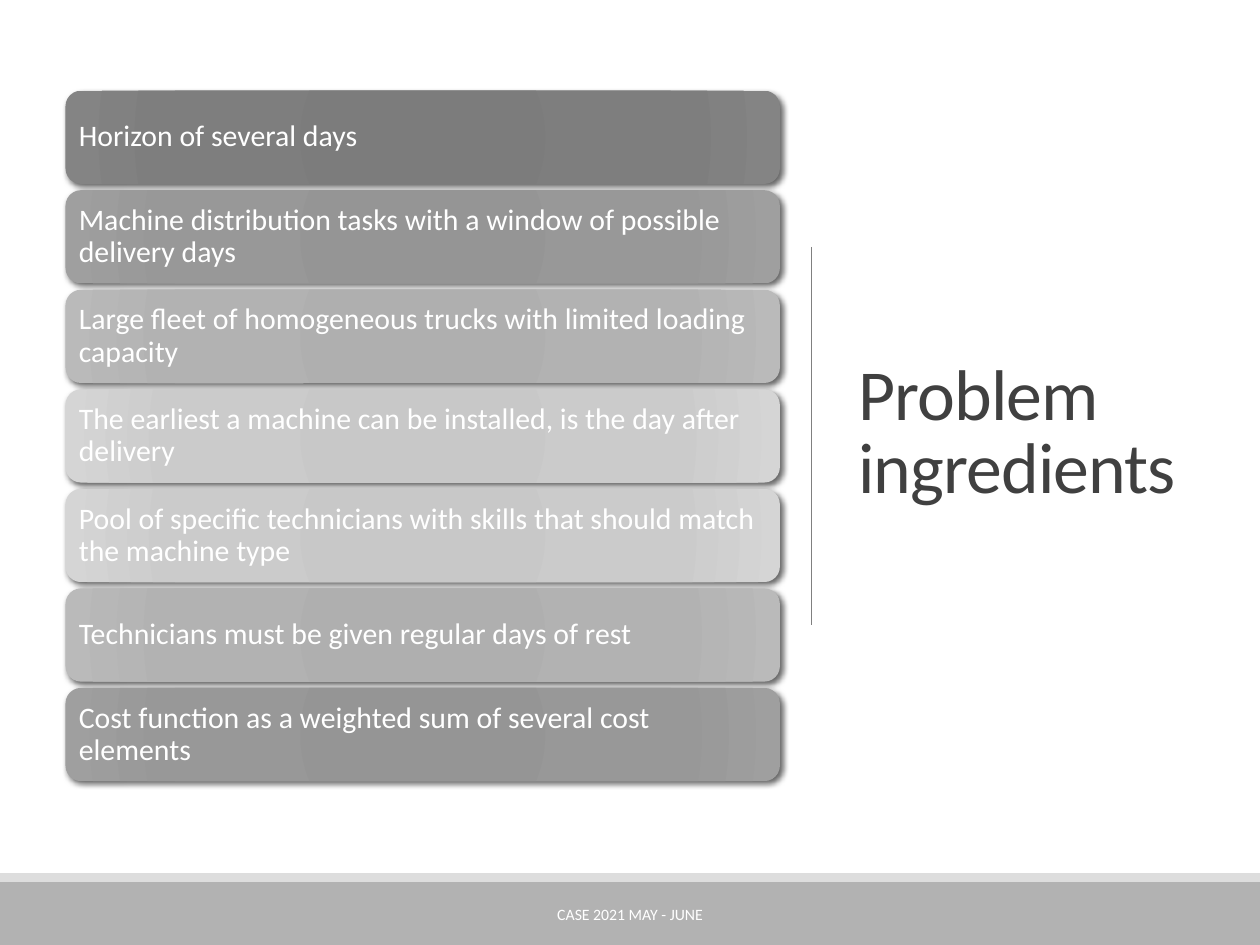
import pptx
import pptx.util
import pptx.dml.color
import pptx.enum.shapes
import pptx.enum.text
import pptx.oxml
import pptx.oxml.ns

Inches, Pt = pptx.util.Inches, pptx.util.Pt
RGB = pptx.dml.color.RGBColor.from_string
SHAPE = pptx.enum.shapes.MSO_SHAPE
ALIGN = pptx.enum.text.PP_ALIGN
MIDDLE = pptx.enum.text.MSO_ANCHOR.MIDDLE

TITLE = "Problem ingredients"
FOOTER = "CASE 2021 MAY - JUNE"
CARDS = [  # text, shade
    ("Horizon of several days", "dark"),
    ("Machine distribution tasks with a window of possible delivery days", "mid"),
    ("Large fleet of homogeneous trucks with limited loading capacity", "soft"),
    ("The earliest a machine can be installed, is the day after delivery", "pale"),
    ("Pool of specific technicians with skills that should match the machine type", "pale"),
    ("Technicians must be given regular days of rest", "soft"),
    ("Cost function as a weighted sum of several cost elements", "mid"),
]
THEME = {
    "font": "Calibri", "title": 41, "card": 17, "footer": 9,
    "white": "FFFFFF", "ink": "404040", "rule": "808080",
    "bar": "B2B2B2", "strip": "DDDDDD",
    "stops": (0, 34, 70, 100),
    "shades": {
        "dark": ("7B7B7B", "7C7C7C", "7E7E7E", "848484"),
        "mid": ("949494", "959595", "989898", "9F9F9F"),
        "soft": ("ADADAD", "AFAFAF", "B2B2B2", "BABABA"),
        "pale": ("C6C6C6", "C8C8C8", "CBCBCB", "D5D5D5"),
    },
}
BANDS = [(0, 6.93, "white"), (7, 0.5, "bar"), (6.93, 0.07, "strip")]  # top, height, colour
LEFT, TOP, WIDTH, HEIGHT, STEP = 0.52, 0.72, 5.67, 0.74, 0.79


def box(left, top, width, height):
    return [Inches(v) for v in (left, top, width, height)]


def xml(text):
    space = pptx.oxml.ns.nsdecls("a")
    return pptx.oxml.parse_xml(text.replace(" ", f" {space} ", 1) if " " in text.split(">")[0]
                               else text.replace(">", f" {space}>", 1))


def write(frame, text, size, color, align=ALIGN.LEFT, space=1.0):
    frame.word_wrap = True
    frame.vertical_anchor = MIDDLE
    frame.text = text
    para = frame.paragraphs[0]
    para.alignment, para.line_spacing = align, space
    font = para.runs[0].font
    font.name, font.size = THEME["font"], Pt(THEME[size])
    font.color.rgb = RGB(THEME[color])
    return para


def glow(shape, shade):
    """Give the shape a radial gradient and a soft shadow."""
    stops = "".join(
        f'<a:gs pos="{at * 1000}"><a:srgbClr val="{color}"/></a:gs>'
        for at, color in zip(THEME["stops"], THEME["shades"][shade]))
    shape.element.spPr.find(pptx.oxml.ns.qn("a:prstGeom")).addnext(xml(
        f'<a:gradFill rotWithShape="1"><a:gsLst>{stops}</a:gsLst><a:path path="circle">'
        '<a:fillToRect l="100000" t="100000" r="100000" b="100000"/></a:path></a:gradFill>'))
    shape.element.spPr.append(xml(
        f'<a:effectLst><a:outerShdw blurRad="{Pt(3.5)}" dist="{Pt(2)}" dir="2700000" '
        'rotWithShape="0"><a:srgbClr val="000000"><a:alpha val="60000"/></a:srgbClr>'
        '</a:outerShdw></a:effectLst>'))


def main():
    deck = pptx.Presentation()
    deck.slide_width, deck.slide_height = Inches(10), Inches(7.5)
    slide = deck.slides.add_slide(deck.slide_layouts[5])
    shapes = slide.shapes

    for top, height, color in BANDS:
        band = shapes.add_shape(SHAPE.RECTANGLE, *box(0, top, 10, height))
        band.shadow.inherit = False
        band.fill.solid()
        band.fill.fore_color.rgb = RGB(THEME[color])
        band.line.fill.background()

    rule = shapes.add_connector(pptx.enum.shapes.MSO_CONNECTOR.STRAIGHT,
                                *box(6.44, 1.96, 6.44, 4.96))
    rule.line.color.rgb, rule.line.width = RGB(THEME["rule"]), Pt(0.5)
    rule.element.spPr.append(xml("<a:effectLst></a:effectLst>"))

    title = shapes.title
    title.left, title.top, title.width, title.height = box(6.71, 0.69, 2.77, 5.53)
    title.element.getparent().append(title.element)  # in front of the bands
    title.text_frame.auto_size = pptx.enum.text.MSO_AUTO_SIZE.NONE
    para = write(title.text_frame, TITLE, "title", "ink", space=0.85)
    para.runs[0].font._element.set("spc", "-50")

    for i, (text, shade) in enumerate(CARDS):
        card = shapes.add_shape(SHAPE.ROUNDED_RECTANGLE,
                                *box(LEFT, TOP + i * STEP, WIDTH, HEIGHT))
        card.line.fill.background()
        glow(card, shade)
        frame = card.text_frame
        frame.margin_left = frame.margin_right = Inches(0.07)
        frame.margin_top = frame.margin_bottom = Inches(0.07)
        write(frame, text, "card", "white", space=0.9)

    foot = shapes.add_textbox(*box(3.02, 7.06, 3.96, 0.4))
    write(foot.text_frame, FOOTER, "footer", "white", ALIGN.CENTER)
    deck.save("out.pptx")


if __name__ == "__main__":
    main()
